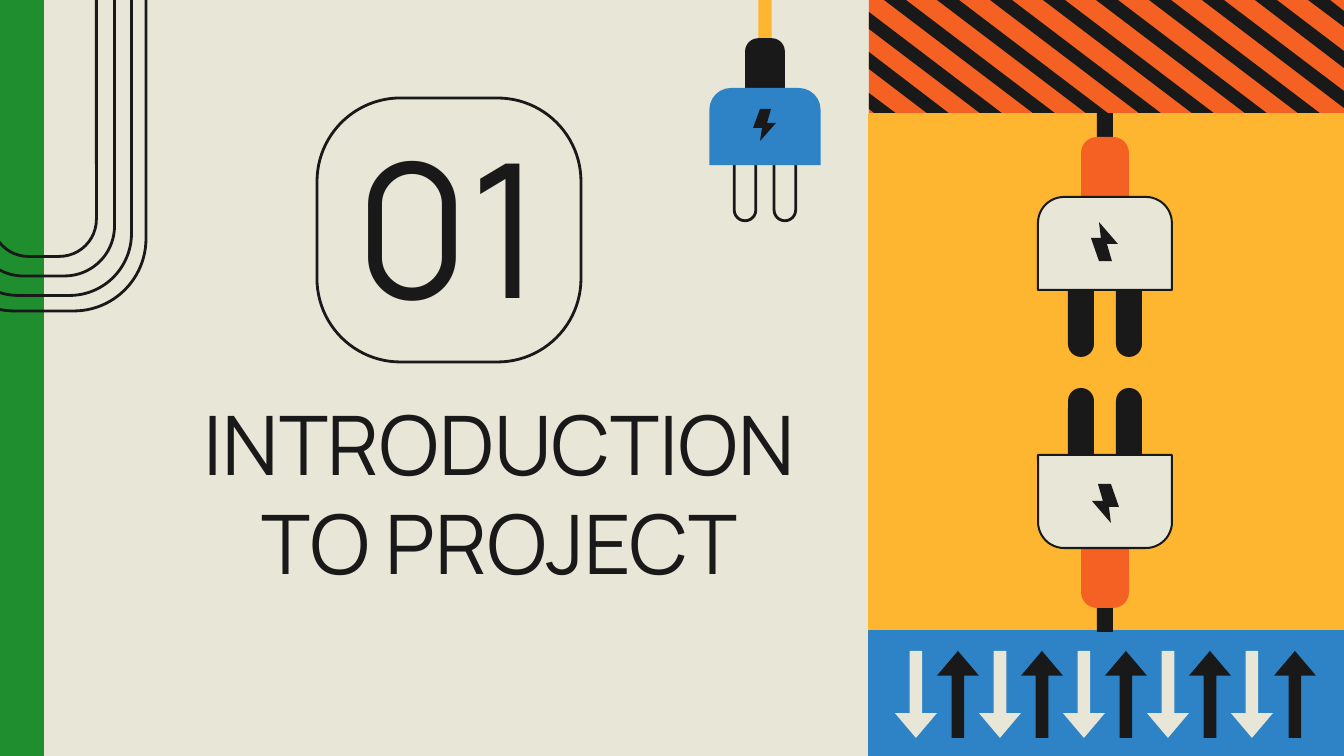
from pptx import Presentation
from pptx.dml.color import RGBColor
from pptx.enum.shapes import MSO_SHAPE
from pptx.enum.text import MSO_ANCHOR, PP_ALIGN
from pptx.util import Inches, Pt

RECT = MSO_SHAPE.RECTANGLE
ROUND = MSO_SHAPE.ROUNDED_RECTANGLE
ROUND_TOP = MSO_SHAPE.ROUND_2_SAME_RECTANGLE
UP, DOWN = MSO_SHAPE.UP_ARROW, MSO_SHAPE.DOWN_ARROW
TOP, MIDDLE = MSO_ANCHOR.TOP, MSO_ANCHOR.MIDDLE
CENTER = PP_ALIGN.CENTER

PX = 914400 / 134.4
FONT = "Manrope"
COLORS = {
    "paper": "E8E6D6",
    "ink": "191919",
    "green": "1F8E2E",
    "orange": "F46123",
    "yellow": "FEB530",
    "blue": "2E83C7",
}
BOLT = [(-6, 25), (13, 47), (2, 47), (7, 64), (-6, 64), (-14, 41), (-4, 41)]
PANEL_LEFT, PANEL_RIGHT = 869, 1344
PANEL_W = PANEL_RIGHT - PANEL_LEFT


def emu(px):
    return round(px * PX)


def rgb(name):
    return RGBColor.from_string(COLORS[name])


class Deck:
    def __init__(self, width, height):
        self.prs = Presentation()
        self.prs.slide_width, self.prs.slide_height = emu(width), emu(height)
        self.slide = self.prs.slides.add_slide(self.prs.slide_layouts[6])
        fill = self.slide.background.fill
        fill.solid()
        fill.fore_color.rgb = rgb("paper")

    def paint(self, sp, fill, line=None, weight=0.75):
        sp.shadow.inherit = False
        if fill:
            sp.fill.solid()
            sp.fill.fore_color.rgb = rgb(fill)
        else:
            sp.fill.background()
        if line:
            sp.line.color.rgb = rgb(line)
            sp.line.width = Pt(weight)
        else:
            sp.line.fill.background()

    def shape(self, kind, x, y, w, h, fill, line=None, weight=0.75, adj=()):
        sp = self.slide.shapes.add_shape(kind, emu(x), emu(y), emu(w), emu(h))
        for i, value in enumerate(adj):
            sp.adjustments[i] = value
        self.paint(sp, fill, line, weight)
        return sp

    def polygon(self, points, fill):
        builder = self.slide.shapes.build_freeform(*points[0], scale=PX)
        builder.add_line_segments(points[1:], close=True)
        self.paint(builder.convert_to_shape(), fill)

    def text(self, text, x, y, w, h, size, anchor=TOP, top_inset=0.1):
        sp = self.slide.shapes.add_textbox(emu(x), emu(y), emu(w), emu(h))
        tf = sp.text_frame
        tf.word_wrap = True
        tf.vertical_anchor = anchor
        tf.margin_left = tf.margin_right = tf.margin_bottom = Inches(0.1)
        tf.margin_top = Inches(top_inset)
        tf.text = text
        p = tf.paragraphs[0]
        p.alignment = CENTER
        font = p.runs[0].font
        font.name, font.size = FONT, Pt(size)
        font.color.rgb = rgb("ink")

    def plug(self, cx, base, scale=1, turned=False, cord="ink", cord_top=-84,
             sleeve="orange", body="paper", outline="ink", prong="ink",
             prong_line=None, bolt_flipped=False):
        """Draw a plug whose body starts at base; turned points it upwards."""
        way = -1 if turned else 1

        def part(kind, mid, y, w, h, fill, line=None, weight=0.75, adj=()):
            top = base + scale * (-y - h if turned else y)
            return self.shape(kind, cx + scale * (mid - w / 2), top,
                              scale * w, scale * h, fill, line, weight, adj)

        part(RECT, 0, cord_top, 16, -25 - cord_top, cord)
        part(ROUND, 0, -60, 48, 106, sleeve, adj=[0.33])
        for mid in (-24, 24):
            part(ROUND, mid, 38, 26, 122, prong, prong_line, 1.5, [0.5])
        sp = part(ROUND_TOP, 0, 0, 134, 93, body, outline, 1.09, [0.28, 0])
        if turned:
            sp.rotation = 180
        points = [(x, 89 - y if bolt_flipped else y) for x, y in BOLT]
        self.polygon([(cx + way * scale * x, base + way * scale * y)
                      for x, y in points], "ink")

    def stripes(self, height=120, slant=158, width=22, pitch=53):
        """Draw slanted bands, cut off at the panel's left and right edges."""
        def edge(x):
            ends = max(x, PANEL_LEFT), min(x + slant, PANEL_RIGHT)
            return [(end, (end - x) * height / slant) for end in ends]

        self.shape(RECT, PANEL_LEFT, 0, PANEL_W, height, "orange")
        for x in range(725, PANEL_RIGHT, pitch):
            self.polygon(edge(x) + edge(x + width)[::-1], "ink")


def main():
    deck = Deck(1344, 756)

    deck.shape(RECT, 0, 0, 43, 756, "green", "green")
    for w, h in [(204, 700), (175, 669), (141, 630), (105, 591)]:
        deck.shape(ROUND, 44 - w / 2, -39 - h / 2, w, h, None, "ink", 1.5,
                   [0.354])

    deck.stripes()
    deck.shape(RECT, PANEL_LEFT, 114, PANEL_W, 517, "yellow", "yellow")
    deck.shape(RECT, PANEL_LEFT, 631, PANEL_W, 125, "blue", "blue")

    deck.shape(ROUND, 317, 98, 264, 264, None, "ink", 1.5, [0.316])
    deck.text("01", 297, 149, 304, 163, 100, MIDDLE, 0)
    deck.text("INTRODUCTION TO PROJECT", 161, 380, 677, 210, 44)

    deck.plug(1105, 197)
    deck.plug(1105, 548, turned=True)
    for i in range(10):
        kind, fill = (UP, "ink") if i % 2 else (DOWN, "paper")
        deck.shape(kind, 895 + 379 * i // 9, 651, 42, 87, fill,
                   adj=[0.3, 0.59])
    deck.plug(765, 88, scale=0.83, cord="yellow", cord_top=-109, sleeve="ink",
              body="blue", outline=None, prong=None, prong_line="ink",
              bolt_flipped=True)

    deck.prs.save("out.pptx")


if __name__ == "__main__":
    main()
